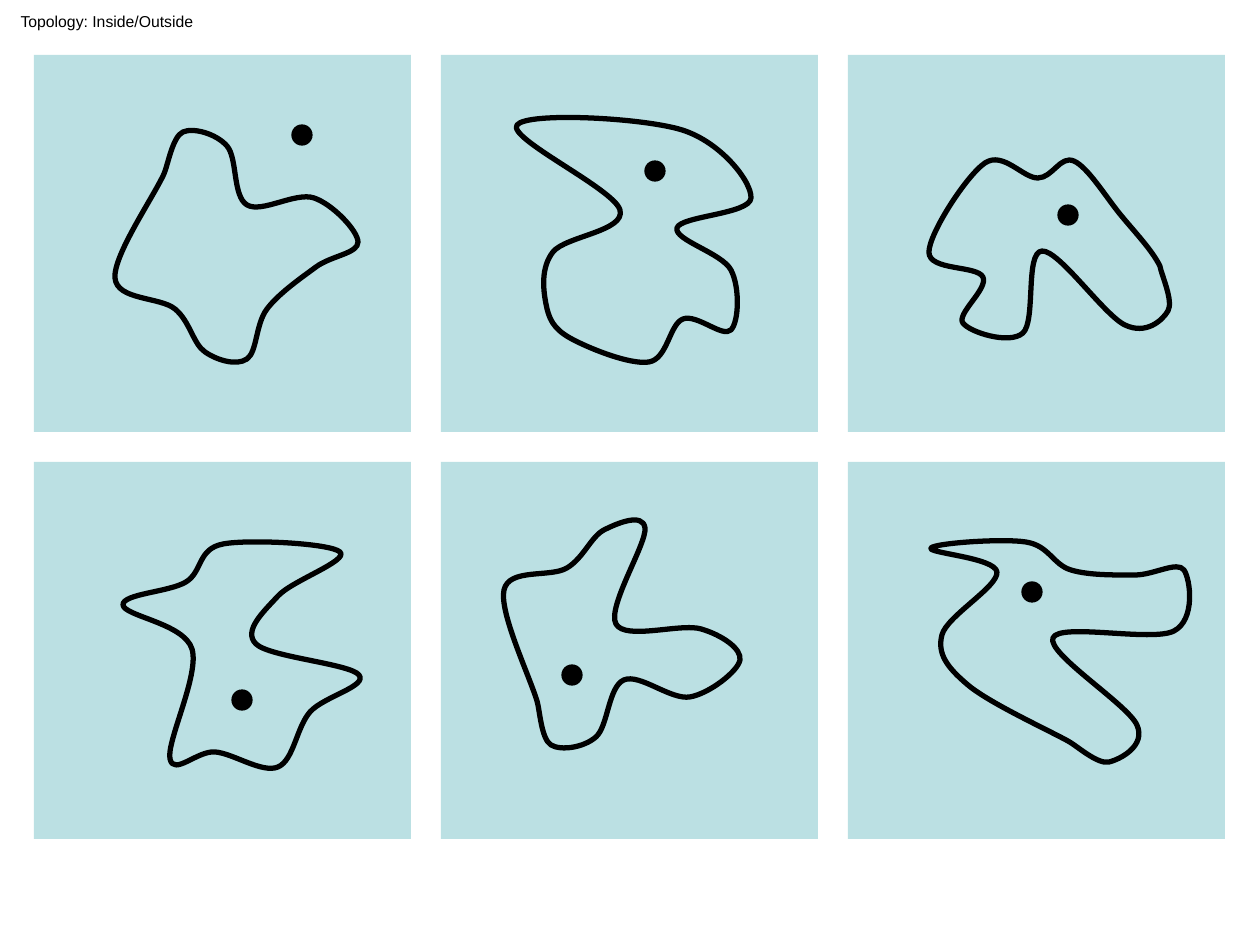
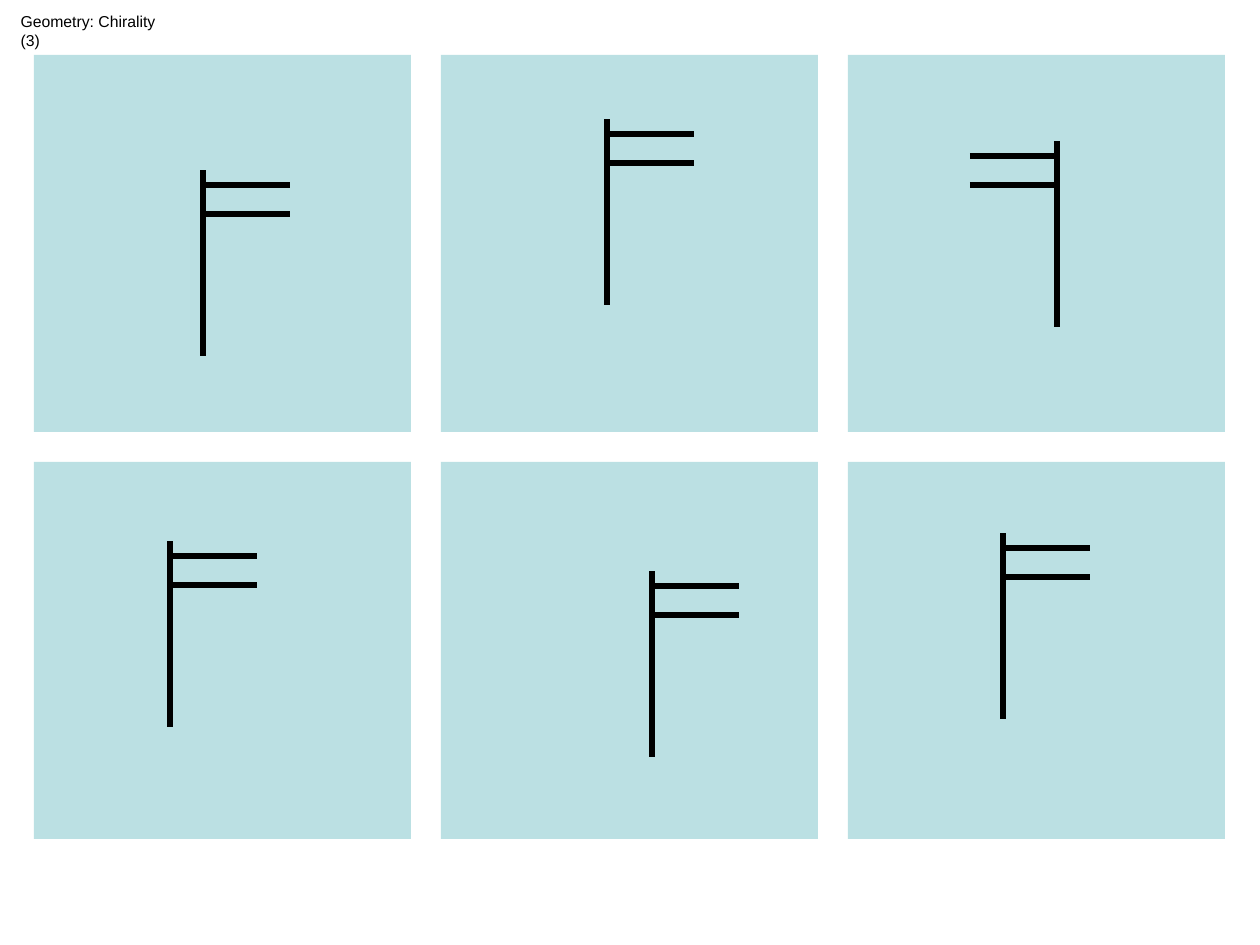
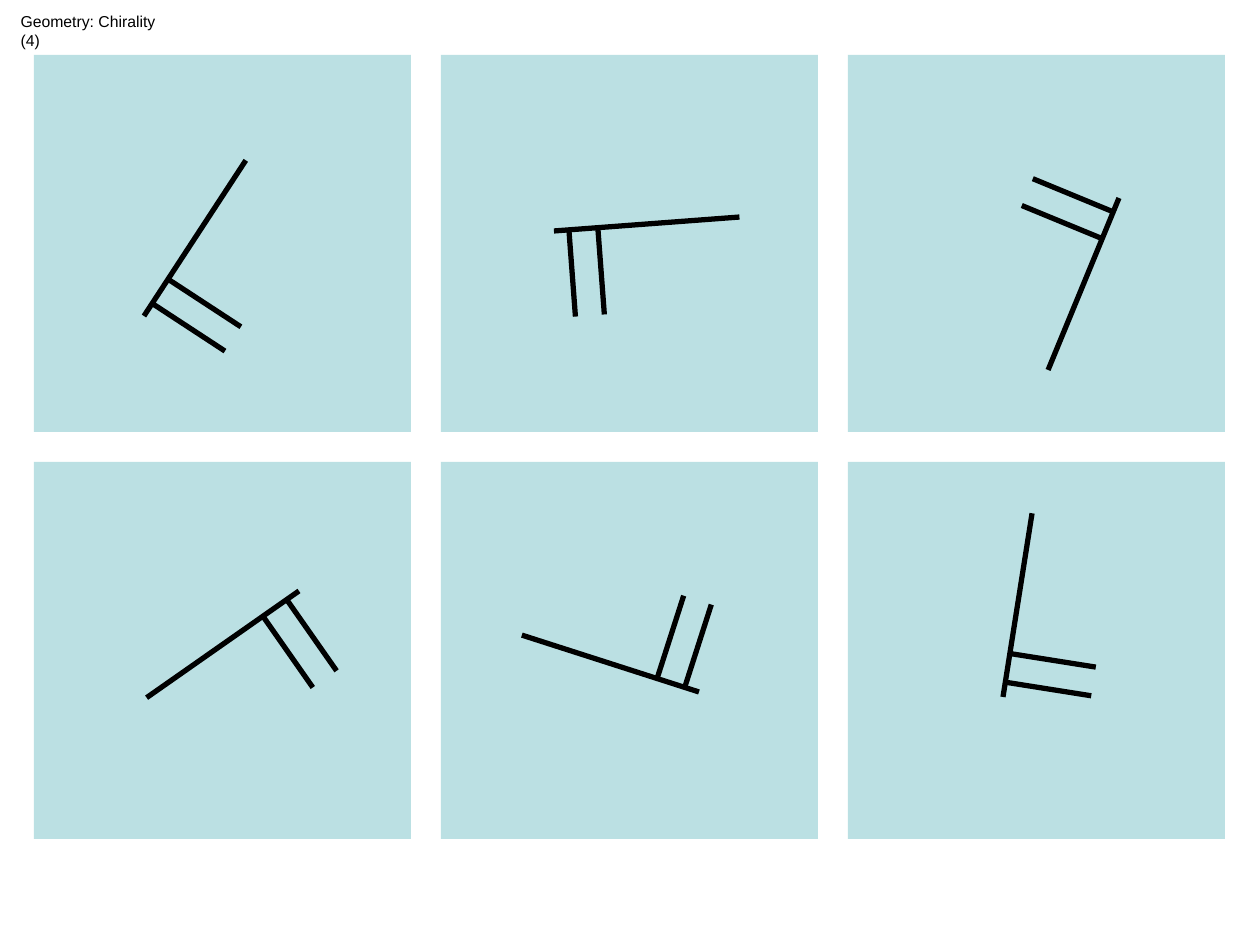
import math
from dataclasses import dataclass

import pptx
import pptx.dml.color
import pptx.enum.shapes
import pptx.enum.text
import pptx.oxml.ns
import pptx.util
from lxml import etree

EMU_PER_PX = 914400 / 126
CURVE_UNITS = 10
qn = pptx.oxml.ns.qn


@dataclass(frozen=True)
class Theme:
    panel: pptx.dml.color.RGBColor = pptx.dml.color.RGBColor(0xBB, 0xE0, 0xE3)
    ink: pptx.dml.color.RGBColor = pptx.dml.color.RGBColor(0, 0, 0)
    font: str = "Arial"
    title_size: pptx.util.Pt = pptx.util.Pt(9)
    stroke: pptx.util.Pt = pptx.util.Pt(3)
    dot_stroke: pptx.util.Pt = pptx.util.Pt(0.75)


THEME = Theme()
PANEL_LEFT, PANEL_TOP, PANEL_SIZE, PANEL_PITCH = 34, 55, 377, 407
DOT_SIZE = 20
POLE_LENGTH, ARM_START, ARM_END = 186, 1, 87
ARM_OFFSETS = (15, 44)

# Each blob: knots, and whether its closing segment has a short handle.
BLOBS = [
    ([(164, 174), (115, 278), (175, 309), (205, 352), (247, 359), (267, 309),
      (316, 267), (358, 242), (314, 198), (247, 205), (227, 146), (183, 132)], True),
    ([(517, 125), (620, 210), (553, 252), (546, 304), (570, 338), (649, 362),
      (683, 319), (731, 330), (731, 270), (677, 228), (751, 198), (682, 130)], False),
    ([(1160, 266), (1120, 214), (1074, 161), (1038, 178), (985, 163), (929, 252),
      (983, 277), (963, 323), (1023, 333), (1042, 251), (1125, 325), (1168, 311)], True),
    ([(1068, 741), (968, 685), (942, 635), (997, 572), (931, 548), (1026, 542),
      (1071, 570), (1135, 575), (1184, 570), (1174, 631), (1053, 638), (1137, 725),
      (1109, 762)], True),
    ([(537, 701), (504, 590), (567, 568), (604, 530), (645, 528), (616, 624),
      (701, 629), (740, 660), (690, 697), (624, 680), (596, 737), (551, 745)], True),
    ([(192, 649), (123, 605), (186, 582), (223, 544), (340, 552), (278, 596),
      (256, 644), (359, 675), (310, 712), (278, 767), (215, 752), (170, 759)], False),
]
DOT_CENTRES = [(1068, 215), (655, 171), (302, 135), (242, 700), (572, 675), (1032, 592)]

UPRIGHT_FLAGS = [
    ((203, 170), 0, False), ((607, 119), 0, False), ((652, 571), 0, False),
    ((1003, 533), 0, False), ((170, 541), 0, False), ((1057, 141), 0, True),
]
TURNED_FLAGS = [
    ((1119, 198), 22.4, True), ((699, 692), 107.8, True), ((1003, 697), 189, True),
    ((554, 231), 265.7, True), ((144, 316), 213.2, True), ((299, 591), 55, False),
]


def px(value):
    return pptx.util.Emu(round(value * EMU_PER_PX))


def paint(sp, fill, line=None, width=None):
    sp.shadow.inherit = False
    sp.fill.solid()
    sp.fill.fore_color.rgb = fill
    if line is None:
        sp.line.fill.background()
    else:
        sp.line.color.rgb = line
        sp.line.width = width


def add_title(slide, text, width):
    sp = slide.shapes.title
    sp.left, sp.top, sp.width, sp.height = px(8), px(5), px(width), px(31)
    tf = sp.text_frame
    tf.text = text
    tf.word_wrap = False
    tf.auto_size = pptx.enum.text.MSO_AUTO_SIZE.SHAPE_TO_FIT_TEXT
    tf.vertical_anchor = pptx.enum.text.MSO_ANCHOR.TOP
    p = tf.paragraphs[0]
    p.alignment = pptx.enum.text.PP_ALIGN.LEFT
    p.font.name = THEME.font
    p.font.size = THEME.title_size
    p.font.color.rgb = THEME.ink


def add_panels(slide):
    for row in range(2):
        for col in range(3):
            sp = slide.shapes.add_shape(
                pptx.enum.shapes.MSO_SHAPE.RECTANGLE,
                px(PANEL_LEFT + col * PANEL_PITCH), px(PANEL_TOP + row * PANEL_PITCH),
                px(PANEL_SIZE), px(PANEL_SIZE))
            paint(sp, THEME.panel)


def add_panel_slide(prs, title, title_width):
    slide = prs.slides.add_slide(prs.slide_layouts[5])
    add_panels(slide)
    add_title(slide, title, title_width)
    return slide


def curve_segments(knots, short_close):
    n = len(knots)
    handles = [((knots[(i + 1) % n][0] - knots[i - 1][0]) / 6,
                (knots[(i + 1) % n][1] - knots[i - 1][1]) / 6) for i in range(n)]
    for i, (x, y) in enumerate(knots):
        j = (i + 1) % n
        end_x, end_y = knots[j]
        in_x, in_y = handles[j]
        if j == 0 and short_close:
            in_x, in_y = (end_x - x) / 5, (end_y - y) / 5
        yield ((x + handles[i][0], y + handles[i][1]),
               (end_x - in_x, end_y - in_y), (end_x, end_y))


def add_blob(slide, knots, short_close):
    points = [(x * CURVE_UNITS, y * CURVE_UNITS) for x, y in knots]
    builder = slide.shapes.build_freeform(*points[0], scale=EMU_PER_PX / CURVE_UNITS)
    builder.add_line_segments(points[1:], close=True)
    sp = builder.convert_to_shape()
    paint(sp, THEME.panel, THEME.ink, THEME.stroke)

    left, top = min(x for x, y in points), min(y for x, y in points)
    outline = next(sp._element.iter(qn("a:path")))
    for segment in outline.findall(qn("a:lnTo")):
        outline.remove(segment)
    close = outline.find(qn("a:close"))
    for controls in curve_segments(points, short_close):
        curve = etree.Element(qn("a:cubicBezTo"))
        for x, y in controls:
            etree.SubElement(curve, qn("a:pt"), x=str(round(x - left)), y=str(round(y - top)))
        close.addprevious(curve)


def add_dot(slide, x, y):
    sp = slide.shapes.add_shape(
        pptx.enum.shapes.MSO_SHAPE.OVAL,
        px(x - DOT_SIZE / 2), px(y - DOT_SIZE / 2), px(DOT_SIZE), px(DOT_SIZE))
    paint(sp, THEME.ink, THEME.ink, THEME.dot_stroke)


def add_line(shapes, start, end):
    line = shapes.add_connector(
        pptx.enum.shapes.MSO_CONNECTOR.STRAIGHT,
        px(start[0]), px(start[1]), px(end[0]), px(end[1]))
    line.line.color.rgb = THEME.ink
    line.line.width = THEME.stroke
    etree.SubElement(line._element.spPr, qn("a:effectLst"))


def add_flag(slide, tip, degrees, mirrored):
    cos, sin = math.cos(math.radians(degrees)), math.sin(math.radians(degrees))
    side = -1 if mirrored else 1

    def place(across, down):
        across *= side
        return tip[0] + across * cos - down * sin, tip[1] + across * sin + down * cos

    group = slide.shapes.add_group_shape()
    add_line(group.shapes, place(0, POLE_LENGTH), place(0, 0))
    for offset in ARM_OFFSETS:
        add_line(group.shapes, place(ARM_END, offset), place(ARM_START, offset))


def main():
    prs = pptx.Presentation()
    prs.slide_width, prs.slide_height = px(1260), px(945)

    slide = add_panel_slide(prs, "Topology: Inside/Outside", 199)
    for knots, short_close in BLOBS:
        add_blob(slide, knots, short_close)
    for x, y in DOT_CENTRES:
        add_dot(slide, x, y)

    for title, flags in (("Geometry: Chirality (3)", UPRIGHT_FLAGS),
                         ("Geometry: Chirality (4)", TURNED_FLAGS)):
        slide = add_panel_slide(prs, title, 183)
        for tip, degrees, mirrored in flags:
            add_flag(slide, tip, degrees, mirrored)

    prs.save("out.pptx")


if __name__ == "__main__":
    main()
